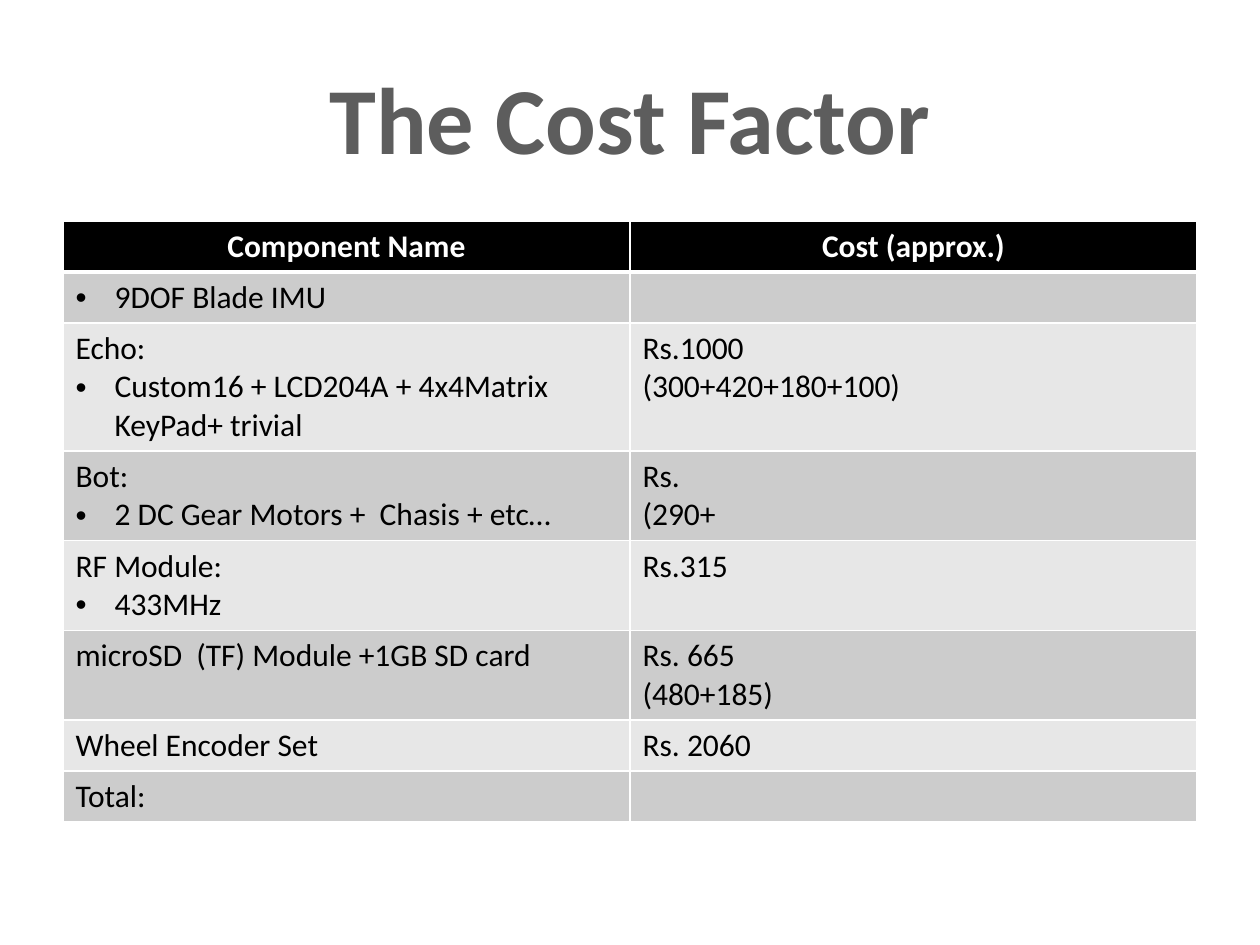
from lxml.etree import SubElement
from pptx import Presentation
from pptx.dml.color import RGBColor
from pptx.enum.text import MSO_ANCHOR as Anchor, PP_ALIGN as Align
from pptx.oxml.ns import qn
from pptx.util import Pt

PX = 914400 / 126
BULLET = "• "
ROW_HEIGHT = 51
COLUMN_WIDTH = 567
HEADERS = ["Component Name", "Cost (approx.)"]
COSTS = [
    (["• 9DOF Blade IMU"], []),
    (["Echo:", "• Custom16 + LCD204A + 4x4Matrix KeyPad+ trivial"],
     ["Rs.1000", "(300+420+180+100)"]),
    (["Bot:", "• 2 DC Gear Motors +  Chasis + etc…"], ["Rs.", "(290+"]),
    (["RF Module:", "• 433MHz"], ["Rs.315"]),
    (["microSD  (TF) Module +1GB SD card"], ["Rs. 665", "(480+185)"]),
    (["Wheel Encoder Set"], ["Rs. 2060"]),
    (["Total:"], []),
]


def px(length):
    return round(length * PX)


def color(value):
    return RGBColor.from_string(value)


class CostSlide:
    font = "Calibri"
    body_size = 18
    line_color = "FFFFFF"
    bands = ["CCCCCC", "E7E7E7"]

    def __init__(self, presentation):
        self.slide = presentation.slides.add_slide(presentation.slide_layouts[5])

    def format_runs(self, paragraph, size, text_color, bold=False):
        for run in paragraph.runs:
            run.font.name = self.font
            run.font.size = Pt(size)
            run.font.bold = bold
            run.font.color.rgb = color(text_color)

    def title(self, text, left, top, width, height):
        shape = self.slide.shapes.title
        shape.left, shape.top, shape.width, shape.height = map(px, (left, top, width, height))
        shape.text_frame.text = text
        shape.text_frame.vertical_anchor = Anchor.MIDDLE
        paragraph = shape.text_frame.paragraphs[0]
        paragraph.alignment = Align.CENTER
        self.format_runs(paragraph, 54, "5D5D5D", bold=True)

    def bullet(self, paragraph):
        properties = paragraph._p.get_or_add_pPr()
        properties.set("marL", str(px(39)))
        properties.set("indent", str(px(-39)))
        SubElement(properties, qn("a:buFont"), typeface="Arial")
        SubElement(properties, qn("a:buChar"), char="•")

    def borders(self, cell, top=1, bottom=1):
        properties = cell._tc.get_or_add_tcPr()
        for side, width in (("L", 1), ("R", 1), ("T", top), ("B", bottom)):
            line = SubElement(properties, qn(f"a:ln{side}"), w=str(Pt(width)))
            fill = SubElement(line, qn("a:solidFill"))
            SubElement(fill, qn("a:srgbClr"), val=self.line_color)

    def fill(self, cell, fill_color):
        cell.fill.solid()
        cell.fill.fore_color.rgb = color(fill_color)

    def header_cell(self, cell, text):
        self.borders(cell, bottom=3)
        self.fill(cell, "000000")
        cell.text_frame.text = text
        paragraph = cell.text_frame.paragraphs[0]
        paragraph.alignment = Align.CENTER
        self.format_runs(paragraph, self.body_size, "FFFFFF", bold=True)

    def body_cell(self, cell, lines, row):
        self.borders(cell, top=3 if row == 0 else 1)
        self.fill(cell, self.bands[row % 2])
        cell.text_frame.text = "\n".join(line.removeprefix(BULLET) for line in lines)
        for line, paragraph in zip(lines, cell.text_frame.paragraphs):
            if line.startswith(BULLET):
                self.bullet(paragraph)
            self.format_runs(paragraph, self.body_size, "000000")

    def table(self, headers, body, left, top, height):
        rows, columns = len(body) + 1, len(headers)
        frame = self.slide.shapes.add_table(
            rows, columns, px(left), px(top), px(COLUMN_WIDTH * columns), px(height))
        table = frame.table
        table.horz_banding = False
        for row in table.rows:
            row.height = px(ROW_HEIGHT)
        frame.height = px(height)
        for column, text in enumerate(headers):
            self.header_cell(table.cell(0, column), text)
        for row, cells in enumerate(body):
            for column, lines in enumerate(cells):
                self.body_cell(table.cell(row + 1, column), lines, row)


def main():
    presentation = Presentation()
    presentation.slide_width, presentation.slide_height = px(1260), px(945)
    slide = CostSlide(presentation)
    slide.title("The Cost Factor", 63, 38, 1134, 158)
    slide.table(HEADERS, COSTS, 63, 221, 595)
    presentation.save("out.pptx")


if __name__ == "__main__":
    main()
